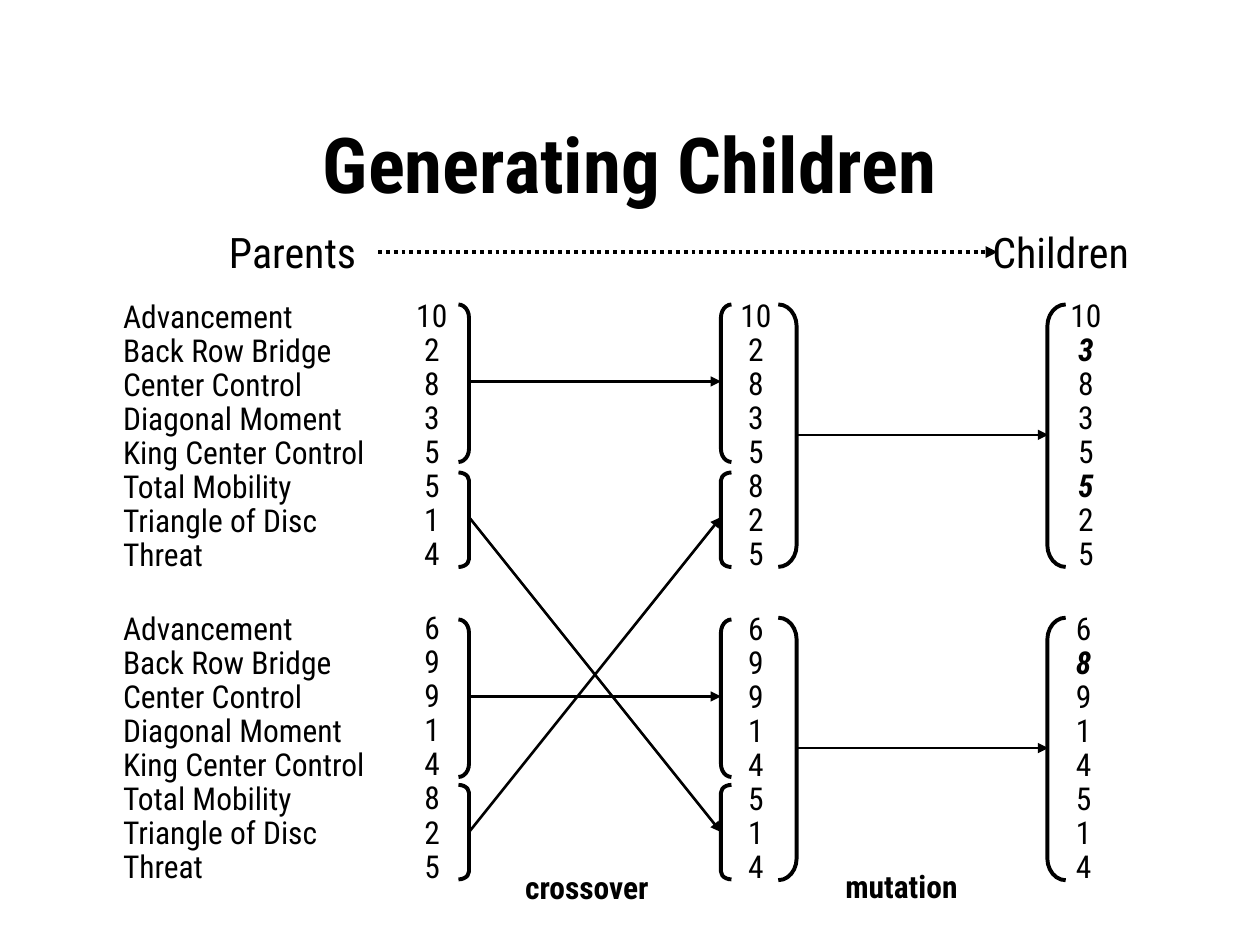
import pptx
import pptx.util
import pptx.dml.color
import pptx.enum.dml
import pptx.enum.shapes
import pptx.enum.text
import pptx.oxml.ns
from lxml import etree

Pt = pptx.util.Pt
SHAPE = pptx.enum.shapes.MSO_SHAPE
ALIGN = pptx.enum.text.PP_ALIGN
FONT = "Roboto Condensed"
BLACK = "000000"

TRAITS = ["Advancement", "Back Row Bridge", "Center Control", "Diagonal Moment",
          "King Center Control", "Total Mobility", "Triangle of Disc", "Threat"]

# Gene columns: left, top, width, alignment, values, mutated rows
GENES = [
    (229.5, 167.75, 34.5, ALIGN.CENTER, "10 2 8 3 5 5 1 4", ()),
    (235.5, 346.5, 24.5, ALIGN.LEFT, "6 9 9 1 4 8 2 5", ()),
    (414.75, 167.75, 34.5, ALIGN.CENTER, "10 2 8 3 5 8 2 5", ()),
    (420.5, 346.75, 24.5, ALIGN.LEFT, "6 9 9 1 4 5 1 4", ()),
    (603.25, 167.75, 34.5, ALIGN.CENTER, "10 3 8 3 5 5 2 5", (1, 5)),
    (607.75, 346.75, 24.5, ALIGN.LEFT, "6 8 9 1 4 5 1 4", (1,)),
]


def color(code):
    return pptx.dml.color.RGBColor.from_string(code)


def add_run(para, text, size, bold=False, italic=False):
    run = para.add_run()
    run.text = text
    font = run.font
    font.name, font.size = FONT, Pt(size)
    font.bold, font.italic = bold, italic
    font.color.rgb = color(BLACK)


def add_box(slide, left, top, width, height, wrap=False):
    box = slide.shapes.add_textbox(Pt(left), Pt(top), Pt(width), Pt(height))
    frame = box.text_frame
    frame.word_wrap = wrap
    if not wrap:
        frame.auto_size = pptx.enum.text.MSO_AUTO_SIZE.SHAPE_TO_FIT_TEXT
    return frame


def add_label(slide, left, top, width, height, text, size, bold=False):
    frame = add_box(slide, left, top, width, height)
    add_run(frame.paragraphs[0], text, size, bold)


def add_list(slide, left, top, width, align, items, marked=()):
    frame = add_box(slide, left, top, width, 162.75)
    for row, item in enumerate(items):
        para = frame.add_paragraph() if row else frame.paragraphs[0]
        para.alignment = align
        para.line_spacing = 0.9
        add_run(para, item, 18, row in marked, row in marked)


def add_brace(slide, kind, left, top, width, height):
    brace = slide.shapes.add_shape(kind, Pt(left), Pt(top), Pt(width), Pt(height))
    brace.adjustments[0] = height / width / 12
    brace.shadow.inherit = False
    brace.fill.background()
    brace.line.color.rgb = color(BLACK)
    brace.line.width = Pt(2.25)


def add_arrow(slide, x1, y1, x2, y2, width=1.5, dash=None):
    arrow = slide.shapes.add_connector(
        pptx.enum.shapes.MSO_CONNECTOR.STRAIGHT, Pt(x1), Pt(y1), Pt(x2), Pt(y2))
    arrow.line.color.rgb = color(BLACK)
    arrow.line.width = Pt(width)
    if dash:
        arrow.line.dash_style = dash
    qn = pptx.oxml.ns.qn
    props = arrow.element.spPr
    etree.SubElement(props.get_or_add_ln(), qn("a:tailEnd"), type="triangle")
    etree.SubElement(props, qn("a:effectLst"))


def main():
    deck = pptx.Presentation()
    deck.slide_width, deck.slide_height = Pt(720), Pt(540)
    slide = deck.slides.add_slide(deck.slide_layouts[6])

    # Title
    frame = add_box(slide, 54, 48, 612, 90, wrap=True)
    frame.vertical_anchor = pptx.enum.text.MSO_ANCHOR.MIDDLE
    frame.paragraphs[0].alignment = ALIGN.CENTER
    add_run(frame.paragraphs[0], "Generating Children", 44, True)

    # Headings and the arrow between them
    add_label(slide, 123.75, 126, 101, 36, "Parents", 24)
    add_label(slide, 560, 126, 109.5, 36, "Children", 24)
    add_arrow(slide, 216, 144, 570, 144, 2.25,
              pptx.enum.dml.MSO_LINE.ROUND_DOT)

    # Trait names and gene values
    for top in (168.5, 347):
        add_list(slide, 63.25, top, 181.5, ALIGN.LEFT, TRAITS)
    for left, top, width, align, values, marked in GENES:
        add_list(slide, left, top, width, align, values.split(), marked)

    # Brackets around the gene groups that cross over
    for top, height in ((174, 90), (270, 54), (354, 90), (448.5, 54)):
        add_brace(slide, SHAPE.RIGHT_BRACKET, 262, top, 6, height)
        add_brace(slide, SHAPE.LEFT_BRACKET, 412, top, 6, height)

    # Crossover arrows
    for start, end in ((218, 218), (295.5, 475.5), (475.5, 295.5), (398, 398)):
        add_arrow(slide, 268, start, 412, end)

    # Mutation brackets and arrows
    for top, middle in ((174, 248.5), (353, 427.5)):
        add_brace(slide, SHAPE.RIGHT_BRACKET, 444.75, top, 10.5, 150)
        add_brace(slide, SHAPE.LEFT_BRACKET, 598.5, top, 10.5, 150)
        add_arrow(slide, 455.25, middle, 599, middle)

    # Step names
    add_label(slide, 293, 492.5, 101, 28.75, "crossover", 18, True)
    add_label(slide, 476, 492, 98.5, 28.75, "mutation", 18, True)

    deck.save("out.pptx")


if __name__ == "__main__":
    main()
